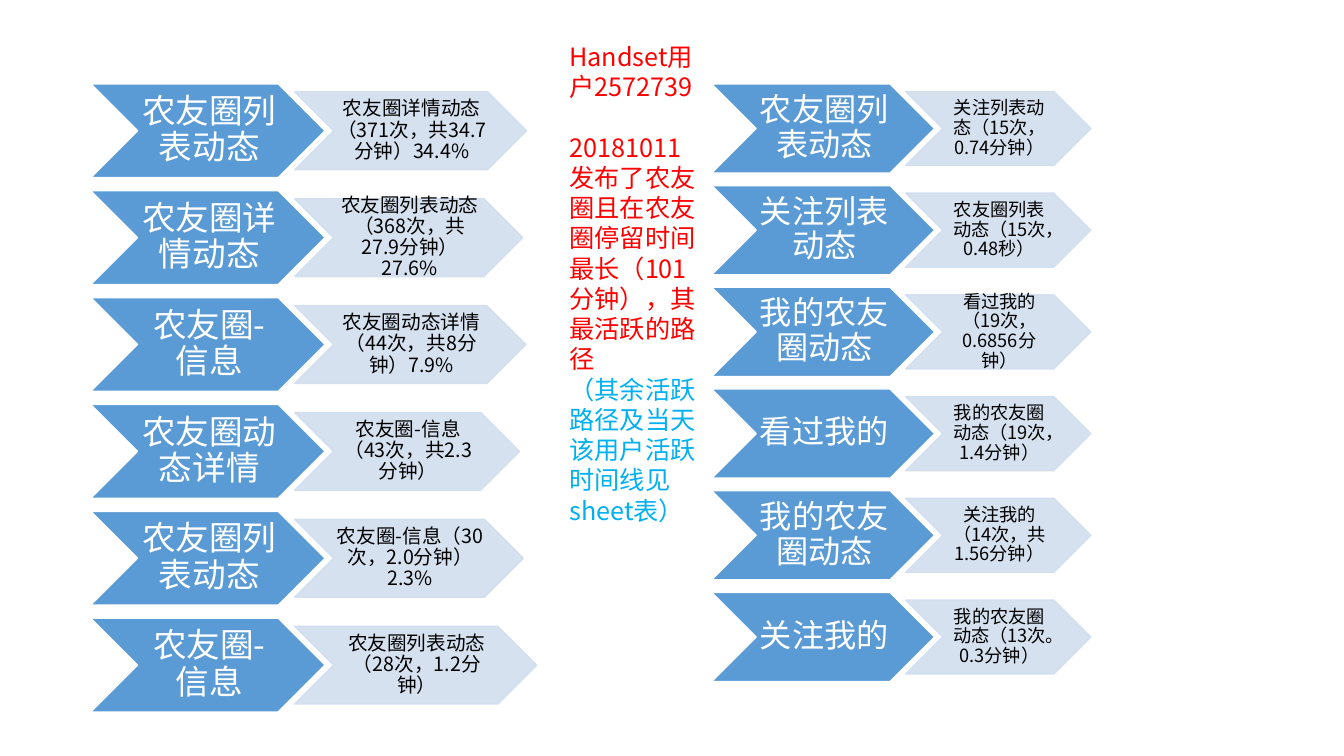
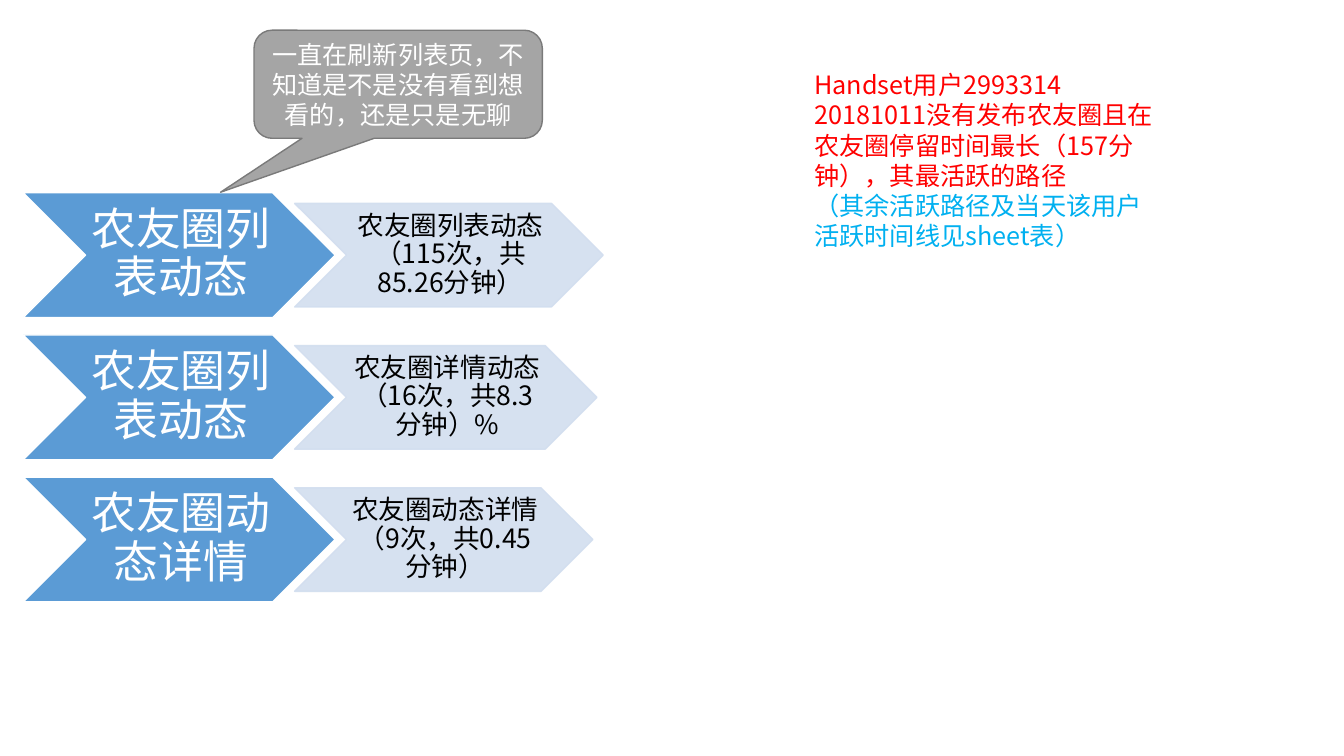
"""Two slides of activity paths, drawn as rows of paired chevrons."""
from lxml import etree
from pptx import Presentation
from pptx import util as u
from pptx.dml.color import RGBColor
from pptx.enum import shapes, text
from pptx.oxml.ns import qn

WIDTH, HEIGHT = u.Inches(13.33), u.Inches(7.5)
FONT = "Noto Sans CJK SC"
COLORS = {
    "step": "5B9BD5", "detail": "D2DEEF", "white": "FFFFFF", "black": "000000",
    "callout": "A5A5A5", "callout_line": "7A7A7A", "finding": "FF0000", "note": "00B0F0",
}
# Chevron proportions, as multiples of the step chevron's height
STEP_WIDTH, ROW_PITCH, DETAIL_OFFSET, DETAIL_HEIGHT = 2.5, 1.14, 2.175, 0.83
NOTE_SIZE = 18
EXTRA_NOTE = "（其余活跃路径及当天该用户活跃时间线见sheet表）"

# Each row: step, detail, detail width as a multiple of its height
POSTER_ROWS = [
    ("农友圈列表动态", "农友圈详情动态（371次，共34.7分钟）34.4%", 2.98),
    ("农友圈详情动态", "农友圈列表动态（368次，共27.9分钟）27.6%", 2.93),
    ("农友圈-信息", "农友圈动态详情（44次，共8分钟）7.9%", 2.97),
    ("农友圈动态详情", "农友圈-信息（43次，共2.3分钟）", 2.89),
    ("农友圈列表动态", "农友圈-信息（30次，2.0分钟）2.3%", 2.94),
    ("农友圈-信息", "农友圈列表动态（28次，1.2分钟）", 3.11),
]
FOLLOW_ROWS = [
    ("农友圈列表动态", "关注列表动态（15次，0.74分钟）", 2.5),
    ("关注列表动态", "农友圈列表动态（15次，0.48秒）", 2.5),
    ("我的农友圈动态", "看过我的（19次，0.6856分钟）", 2.5),
    ("看过我的", "我的农友圈动态（19次，1.4分钟）", 2.5),
    ("我的农友圈动态", "关注我的（14次，共1.56分钟）", 2.5),
    ("关注我的", "我的农友圈动态（13次。0.3分钟）", 2.5),
]
READER_ROWS = [
    ("农友圈列表动态", "农友圈列表动态（115次，共85.26分钟）", 2.98),
    ("农友圈列表动态", "农友圈详情动态（16次，共8.3分钟）%", 2.92),
    ("农友圈动态详情", "农友圈动态详情（9次，共0.45分钟）", 2.88),
]


def across(percent):
    """Return a share of the slide's width."""
    return u.Emu(int(WIDTH * percent / 100))


def down(percent):
    """Return a share of the slide's height."""
    return u.Emu(int(HEIGHT * percent / 100))


def color(name):
    """Look up a named colour."""
    return RGBColor.from_string(COLORS[name])


def add_run(paragraph, words, size, color_name):
    """Add one run in the shared font."""
    run = paragraph.add_run()
    run.text = words
    run.font.size = u.Pt(size)
    run.font.name = FONT
    run.font.color.rgb = color(color_name)
    east_asian = etree.SubElement(run.font._element, qn("a:ea"))
    east_asian.set("typeface", FONT)


def style_shape(shape, fill, line, opacity=None):
    """Give a shape a flat fill and a thin line, optionally translucent."""
    shape.shadow.inherit = False
    shape.fill.solid()
    shape.fill.fore_color.rgb = color(fill)
    shape.line.color.rgb = color(line)
    shape.line.width = u.Pt(1)
    if opacity:
        for value in shape._element.spPr.iter(qn("a:srgbClr")):
            etree.SubElement(value, qn("a:alpha")).set("val", str(opacity * 1000))


def centre_text(shape, words, size, color_name):
    """Write one centred paragraph in a shape and return it."""
    frame = shape.text_frame
    frame.word_wrap = True
    frame.vertical_anchor = text.MSO_ANCHOR.MIDDLE
    paragraph = frame.paragraphs[0]
    paragraph.alignment = text.PP_ALIGN.CENTER
    add_run(paragraph, words, size, color_name)
    return paragraph


def add_chevron(group, box, words, size, fill, line, ink, opacity=None):
    """Add a labelled chevron to a group."""
    shape = group.shapes.add_shape(shapes.MSO_SHAPE.CHEVRON, *map(int, box))
    style_shape(shape, fill, line, opacity)
    centre_text(shape, words, size, ink).line_spacing = 0.9
    frame = shape.text_frame
    frame.margin_left = int(box[3] * 0.03)
    frame.margin_top = frame.margin_bottom = u.Inches(0.01)
    frame.margin_right = 0


def add_path(slide, left, top, height, rows, step_size, detail_size):
    """Add a column of step chevrons, each followed by its detail."""
    group = slide.shapes.add_group_shape()
    detail_height = height * DETAIL_HEIGHT
    for index, (step, detail, ratio) in enumerate(rows):
        row_top = top + index * height * ROW_PITCH
        step_box = (left, row_top, height * STEP_WIDTH, height)
        detail_box = (left + height * DETAIL_OFFSET,
                      row_top + (height - detail_height) / 2,
                      detail_height * ratio, detail_height)
        add_chevron(group, step_box, step, step_size, "step", "white", "white")
        add_chevron(group, detail_box, detail, detail_size,
                    "detail", "detail", "black", opacity=90)


def add_finding(slide, box, user, finding, gap=0):
    """Add the red finding and the blue note below it."""
    frame = slide.shapes.add_textbox(*box).text_frame
    frame.word_wrap = True
    frame.auto_size = text.MSO_AUTO_SIZE.SHAPE_TO_FIT_TEXT
    lines = [(user, "finding"), (finding, "finding"), (EXTRA_NOTE, "note")]
    for index, (words, ink) in enumerate(lines):
        paragraph = frame.add_paragraph() if index else frame.paragraphs[0]
        add_run(paragraph, words, NOTE_SIZE, ink)
    frame.paragraphs[0].space_after = u.Pt(gap)


def add_callout(slide, box, words):
    """Add a grey speech bubble pointing at the first step."""
    shape = slide.shapes.add_shape(shapes.MSO_SHAPE.ROUNDED_RECTANGULAR_CALLOUT, *box)
    for index, value in enumerate((-0.616, 0.999, 0.167)):
        shape.adjustments[index] = value
    style_shape(shape, "callout", "callout_line")
    centre_text(shape, words, NOTE_SIZE, "white")


def main():
    """Build and save both slides."""
    presentation = Presentation()
    presentation.slide_width, presentation.slide_height = WIDTH, HEIGHT
    blank = presentation.slide_layouts[6]

    slide = presentation.slides.add_slide(blank)
    add_path(slide, across(6.75), down(11.1), down(12.4), POSTER_ROWS, 24, 14)
    add_path(slide, across(52.95), down(11.1), down(11.8), FOLLOW_ROWS, 23, 13)
    add_finding(slide, (across(41.63), down(4.8), across(10.88), down(74)),
                "Handset用户2572739",
                "20181011发布了农友圈且在农友圈停留时间最长（101分钟），其最活跃的路径",
                gap=21.6)

    slide = presentation.slides.add_slide(blank)
    add_path(slide, across(1.73), down(25.5), down(16.5), READER_ROWS, 32, 19)
    add_finding(slide, (across(59.85), down(8.53), across(27.3), down(25.6)),
                "Handset用户2993314",
                "20181011没有发布农友圈且在农友圈停留时间最长（157分钟），其最活跃的路径")
    add_callout(slide, (across(18.9), down(4), across(21.45), down(14.3)),
                "一直在刷新列表页，不知道是不是没有看到想看的，还是只是无聊")

    presentation.save("out.pptx")


main()
